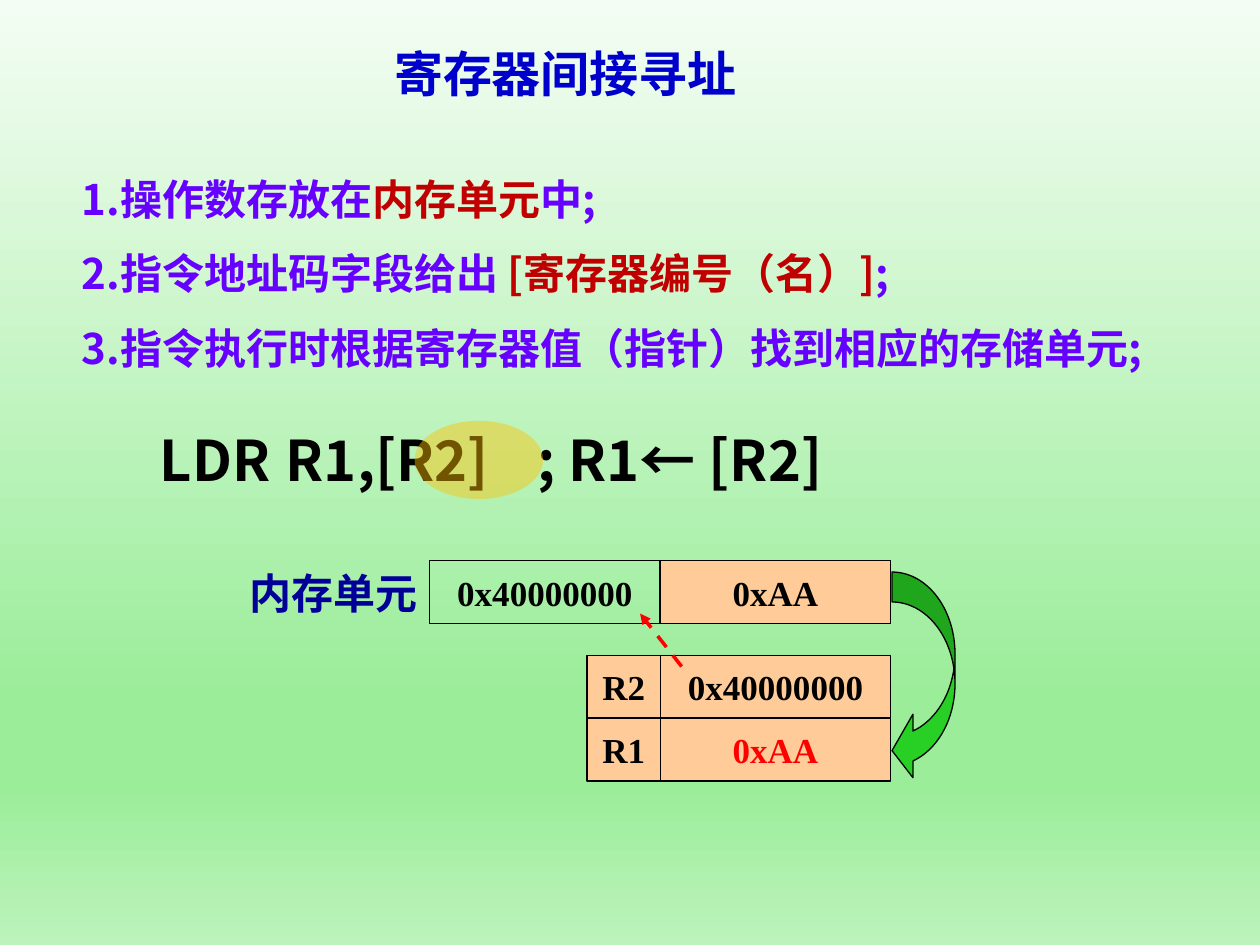
from lxml import etree
from pptx import Presentation
from pptx.dml.color import RGBColor as RGB
from pptx.enum.dml import MSO_LINE
from pptx.enum.shapes import MSO_CONNECTOR, MSO_SHAPE as SHAPE
from pptx.enum.text import MSO_ANCHOR as ANCHOR, PP_ALIGN as ALIGN
from pptx.oxml.ns import qn
from pptx.util import Inches as I, Pt

C = {"title": "0000CC", "body": "6600FF", "accent": "C00000", "label": "000099",
     "black": "000000", "red": "FF0000", "cell": "FFCC99",
     "arrow": "28D025", "spot": "FFC000"}
SANS, SERIF, ROUND = "Noto Sans CJK JP", "Times New Roman", "Comic Neue"

prs = Presentation()
prs.slide_width, prs.slide_height = I(10), I(7.5)
s = prs.slides.add_slide(prs.slide_layouts[6])


def write(p, text, size=24, font=SANS, color="body"):
    r = p.add_run()
    r.text = text
    r.font.size, r.font.name, r.font.bold = Pt(size), font, True
    r.font.color.rgb = RGB.from_string(C[color])
    ea = etree.SubElement(r.font._element, qn("a:ea"))
    ea.set("typeface", SANS)


def text_box(x, y, w, h, wrap=True, anchor=ANCHOR.MIDDLE):
    tf = s.shapes.add_textbox(I(x), I(y), I(w), I(h)).text_frame
    tf.word_wrap, tf.vertical_anchor = wrap, anchor
    return tf


# Background gradient, top to bottom
fill = s.background.fill
fill.gradient()
fill.gradient_angle = 270
stops = s._element.find(".//" + qn("a:gsLst"))
for gs in list(stops):
    stops.remove(gs)
for pos, color in [(0, "F4FDF4"), (74, "9BED9A"), (83, "9BED9A"), (100, "BCF3BC")]:
    gs = etree.SubElement(stops, qn("a:gs"), pos=str(pos * 1000))
    etree.SubElement(gs, qn("a:srgbClr"), val=color)

# Title
write(text_box(3.03, 0.29, 3.39, 0.57).paragraphs[0], "寄存器间接寻址",
      size=28, font=ROUND, color="title")

# Three numbered statements
statements = [
    [("1.操作数存放在", "body"), ("内存单元", "accent"), ("中;", "body")],
    [("2.指令地址码字段给出 ", "body"), ("[寄存器编号（名）]", "accent"), (";", "body")],
    [("3.指令执行时根据寄存器值（指针）找到相应的存储单元;", "body")],
]
tf = text_box(0.55, 1.13, 9.3, 1.9, anchor=ANCHOR.TOP)
for i, runs in enumerate(statements):
    p = tf.add_paragraph() if i else tf.paragraphs[0]
    p.line_spacing = Pt(42.8)
    for text, color in runs:
        write(p, text, color=color)

# Instruction with tab stops
p = text_box(1.17, 3.34, 7, 0.6).paragraphs[0]
tabs = etree.SubElement(p._p.get_or_add_pPr(), qn("a:tabLst"))
for stop in (1, 3):
    etree.SubElement(tabs, qn("a:tab"), pos=str(I(stop)), algn="l")
write(p, "LDR\tR1,[R2]\t; R1← [R2]", size=32, color="black")

# Memory and register cells: (column, row, text, text colour, filled)
cols = {"name": (4.66, 0.58), "address": (3.41, 1.83), "value": (5.24, 1.83)}
rows = {"memory": 4.45, "R2": 5.2, "R1": 5.7}
cells = [
    ("name", "R1", "R1", "black", True),
    ("name", "R2", "R2", "black", True),
    ("value", "R2", "0x40000000", "black", True),
    ("value", "memory", "0xAA", "black", True),
    ("address", "memory", "0x40000000", "black", False),
    ("value", "R1", "0xAA", "red", True),
]
for col, row, text, color, filled in cells:
    x, w = cols[col]
    sp = s.shapes.add_shape(SHAPE.RECTANGLE, I(x), I(rows[row]), I(w), I(0.5))
    sp.shadow.inherit = False
    if filled:
        sp.fill.solid()
        sp.fill.fore_color.rgb = RGB.from_string(C["cell"])
    else:
        sp.fill.background()
    sp.line.color.rgb, sp.line.width = RGB.from_string(C["black"]), Pt(0.75)
    tf = sp.text_frame
    tf.word_wrap, tf.vertical_anchor = False, ANCHOR.MIDDLE
    tf.paragraphs[0].alignment = ALIGN.CENTER
    write(tf.paragraphs[0], text, size=20, font=SERIF, color=color)

# Dashed pointer from R2 to the memory address
line = s.shapes.add_connector(MSO_CONNECTOR.STRAIGHT, I(5.41), I(5.29), I(5.08), I(4.87))
line.line.color.rgb, line.line.width = RGB.from_string(C["red"]), Pt(2)
line.line.dash_style = MSO_LINE.DASH
etree.SubElement(line.line._get_or_add_ln(), qn("a:tailEnd"), type="triangle")
etree.SubElement(line._element.spPr, qn("a:effectLst"))

# Curved arrow from the memory value to R1
sp = s.shapes.add_shape(SHAPE.CURVED_LEFT_ARROW, I(7.08), I(4.54), I(0.5), I(1.67))
sp.shadow.inherit = False
for i, value in enumerate((0.476, 1.01, 0.333)):
    sp.adjustments[i] = value
sp.fill.solid()
sp.fill.fore_color.rgb = RGB.from_string(C["arrow"])
sp.line.color.rgb, sp.line.width = RGB.from_string(C["black"]), Pt(0.75)

# Translucent highlight over [R2]
sp = s.shapes.add_shape(SHAPE.OVAL, I(3.29), I(3.34), I(1.02), I(0.62))
sp.shadow.inherit = False
sp.fill.solid()
sp.fill.fore_color.rgb = RGB.from_string(C["spot"])
etree.SubElement(sp._element.spPr.find(".//" + qn("a:srgbClr")), qn("a:alpha"), val="44000")
sp.line.fill.background()

# Memory label
write(text_box(1.88, 4.45, 1.55, 0.51, wrap=False).paragraphs[0], "内存单元", color="label")

prs.save("out.pptx")
